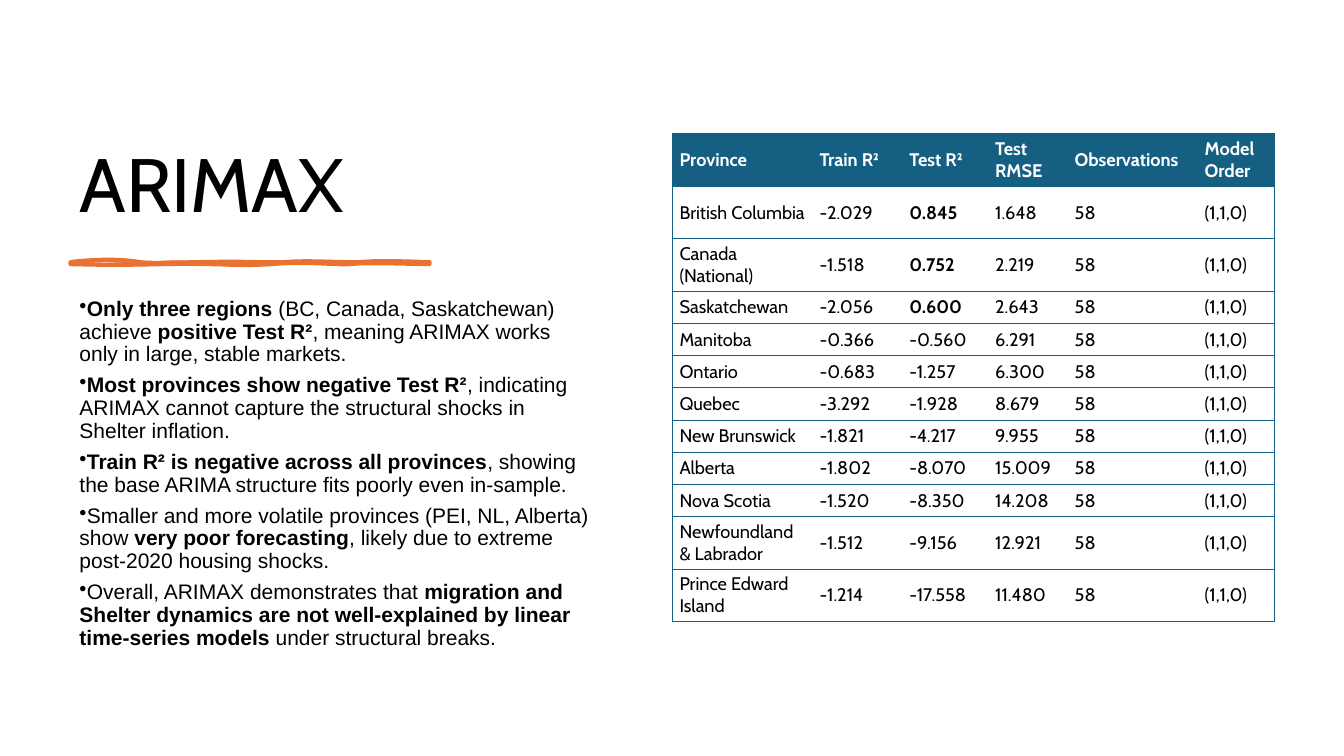
import pptx
import pptx.dml.color
import pptx.enum.text
import pptx.oxml
import pptx.oxml.ns
import pptx.util
from lxml import etree
from pptx.util import Inches

COLORS = {"text": "000000", "white": "FFFFFF", "table": "156082", "accent": "E97132"}
NO_TABLE_STYLE = "{2D5ABB26-0587-4C30-8999-92F81FD0307C}"

# Each bullet is a list of (text, bold) runs.
BULLETS = [
    [("Only three regions", True), (" (BC, Canada, Saskatchewan) achieve ", False),
     ("positive Test R²", True),
     (", meaning ARIMAX works only in large, stable markets.", False)],
    [("Most provinces show negative Test R²", True),
     (", indicating ARIMAX cannot capture the structural shocks in Shelter inflation.", False)],
    [("Train R² is negative across all provinces", True),
     (", showing the base ARIMA structure fits poorly even in-sample.", False)],
    [("Smaller and more volatile provinces (PEI, NL, Alberta) show ", False),
     ("very poor forecasting", True),
     (", likely due to extreme post-2020 housing shocks.", False)],
    [("Overall, ARIMAX demonstrates that ", False),
     ("migration and Shelter dynamics are not well-explained by linear time-series models", True),
     (" under structural breaks.", False)],
]

HEADER = ["Province", "Train R²", "Test R²", "Test RMSE", "Observations", "Model Order"]
RESULTS = [
    ("British Columbia", "-2.029", "0.845", "1.648"),
    ("Canada (National)", "-1.518", "0.752", "2.219"),
    ("Saskatchewan", "-2.056", "0.600", "2.643"),
    ("Manitoba", "-0.366", "-0.560", "6.291"),
    ("Ontario", "-0.683", "-1.257", "6.300"),
    ("Quebec", "-3.292", "-1.928", "8.679"),
    ("New Brunswick", "-1.821", "-4.217", "9.955"),
    ("Alberta", "-1.802", "-8.070", "15.009"),
    ("Nova Scotia", "-1.520", "-8.350", "14.208"),
    ("Newfoundland & Labrador", "-1.512", "-9.156", "12.921"),
    ("Prince Edward Island", "-1.214", "-17.558", "11.480"),
]
COLUMN_WIDTHS = [1.39, 0.89, 0.85, 0.79, 1.29, 0.76]
TALL_ROWS = {0, 1, 2, 10, 11}
TEST_R2_COLUMN = 2

# Start point, then three points for each Bézier curve.
BRUSH_EDGE = [
    (0.7, 2.6), (0.97, 2.57), (1.21, 2.57), (1.38, 2.6), (1.55, 2.62), (1.77, 2.6), (2.09, 2.6),
    (2.41, 2.59), (2.6, 2.61), (2.84, 2.6), (3.08, 2.58), (3.39, 2.61), (3.59, 2.6),
    (3.79, 2.58), (4.12, 2.6), (4.26, 2.6), (4.26, 2.6), (4.26, 2.61), (4.26, 2.62),
    (4.08, 2.62), (3.64, 2.6), (3.48, 2.62), (3.32, 2.63), (3.04, 2.59), (2.7, 2.62),
    (2.35, 2.64), (2.31, 2.62), (1.99, 2.62), (1.66, 2.61), (1.32, 2.64), (0.7, 2.62),
    (0.7, 2.61), (0.7, 2.6), (0.7, 2.6)]
BRUSH_BODY = [
    (0.7, 2.6), (1.02, 2.62), (1.1, 2.6), (1.38, 2.6), (1.66, 2.59), (1.69, 2.57), (1.99, 2.6),
    (2.28, 2.62), (2.61, 2.61), (2.77, 2.6), (2.93, 2.58), (3.27, 2.62), (3.44, 2.6),
    (3.62, 2.57), (3.97, 2.63), (4.26, 2.6), (4.26, 2.6), (4.26, 2.61), (4.26, 2.62),
    (4.12, 2.61), (3.72, 2.64), (3.55, 2.62), (3.32, 2.59), (3.09, 2.62), (2.77, 2.62),
    (2.44, 2.61), (2.4, 2.6), (2.16, 2.62), (1.93, 2.63), (1.79, 2.61), (1.45, 2.62),
    (1.11, 2.62), (0.92, 2.61), (0.7, 2.62), (0.7, 2.61), (0.7, 2.6), (0.7, 2.6)]


def rgb(name):
    return pptx.dml.color.RGBColor.from_string(COLORS[name])


def set_font(p, name, size, color):
    p.font.name = name
    p.font.size = pptx.util.Pt(size)
    p.font.color.rgb = rgb(color)


def add_text_frame(s, left, top, width, height, anchor):
    tf = s.shapes.add_textbox(Inches(left), Inches(top), Inches(width), Inches(height)).text_frame
    tf.word_wrap = True
    tf.vertical_anchor = anchor
    return tf


def add_title(s, text):
    tf = add_text_frame(s, 0.69, 0.7, 5.27, 1.62, pptx.enum.text.MSO_ANCHOR.BOTTOM)
    p = tf.paragraphs[0]
    p.text = text
    p.line_spacing = 0.9
    set_font(p, "Cabin", 54, "text")


def add_bullets(s, bullets):
    tf = add_text_frame(s, 0.69, 2.91, 5.27, 3.88, pptx.enum.text.MSO_ANCHOR.TOP)
    for i, runs in enumerate(bullets):
        p = tf.add_paragraph() if i else tf.paragraphs[0]
        p.line_spacing = 0.9
        p.space_after = pptx.util.Pt(6)
        set_font(p, "Arial", 15, "text")
        pPr = p._p.get_or_add_pPr()
        pPr.set("marL", "0")
        pPr.set("indent", "0")
        bullet = etree.Element(pptx.oxml.ns.qn("a:buChar"), char="•")
        pPr.insert_element_before(bullet, "a:tabLst", "a:defRPr", "a:extLst")
        for text, bold in runs:
            r = p.add_run()
            r.text = text
            r.font.bold = bold


def curve_segments(path):
    """Turn each three straight segments of a path into one Bézier curve."""
    lines = path.findall(pptx.oxml.ns.qn("a:lnTo"))
    for i in range(0, len(lines), 3):
        curve = etree.Element(pptx.oxml.ns.qn("a:cubicBezTo"))
        lines[i].addprevious(curve)
        for line in lines[i:i + 3]:
            curve.append(line[0])
            path.remove(line)


def add_brush_stroke(s):
    """Draw one shape with a stroked edge path and a filled body path."""
    edge, body = ([(Inches(x), Inches(y)) for x, y in points]
                  for points in (BRUSH_EDGE, BRUSH_BODY))
    builder = s.shapes.build_freeform(*edge[0])
    builder.add_line_segments(edge[1:], close=True)
    builder.move_to(*body[0])
    builder.add_line_segments(body[1:], close=True)
    sp = builder.convert_to_shape()
    sp.shadow.inherit = False
    sp.fill.solid()
    sp.fill.fore_color.rgb = rgb("accent")
    sp.line.color.rgb = rgb("accent")
    sp.line.width = pptx.util.Pt(3)

    edge_path = next(sp._element.iter(pptx.oxml.ns.qn("a:path")))
    body_path = etree.SubElement(edge_path.getparent(), pptx.oxml.ns.qn("a:path"),
                                 dict(edge_path.attrib), stroke="0")
    edge_path.set("fill", "none")
    body_start = edge_path.findall(pptx.oxml.ns.qn("a:moveTo"))[1]
    for segment in list(edge_path)[edge_path.index(body_start):]:
        body_path.append(segment)
    for path in (edge_path, body_path):
        curve_segments(path)


def set_borders(cell, sides):
    """Draw 1 pt lines on the given sides, in the order L, R, T, B."""
    tcPr = cell._tc.get_or_add_tcPr()
    for i, side in enumerate(sides):
        ln = etree.Element(pptx.oxml.ns.qn(f"a:ln{side}"), w=str(pptx.util.Pt(1)))
        fill = etree.SubElement(ln, pptx.oxml.ns.qn("a:solidFill"))
        etree.SubElement(fill, pptx.oxml.ns.qn("a:srgbClr"), val=COLORS["table"])
        tcPr.insert(i, ln)


def fill_cell(cell, text, is_header, bold, sides):
    cell.margin_left = cell.margin_right = Inches(0.07)
    cell.margin_top = cell.margin_bottom = Inches(0.04)
    cell.vertical_anchor = pptx.enum.text.MSO_ANCHOR.MIDDLE
    p = cell.text_frame.paragraphs[0]
    p.text = text
    set_font(p, "Cabin", 13, "white" if is_header else "text")
    p.font.bold = bold
    if is_header:
        cell.fill.solid()
        cell.fill.fore_color.rgb = rgb("table")
    else:
        cell.fill.background()
    set_borders(cell, sides)


def add_results_table(s):
    rows = [HEADER] + [result + ("58", "(1,1,0)") for result in RESULTS]
    heights = [0.52 if i in TALL_ROWS else 0.32 for i in range(len(rows))]
    frame = s.shapes.add_table(len(rows), len(HEADER), Inches(6.67), Inches(1.33),
                               Inches(sum(COLUMN_WIDTHS)), Inches(sum(heights)))
    table = frame.table
    table.first_row = table.horz_banding = False
    table._tbl.tblPr.find(pptx.oxml.ns.qn("a:tableStyleId")).text = NO_TABLE_STYLE
    for column, width in zip(table.columns, COLUMN_WIDTHS):
        column.width = Inches(width)
    for i, values in enumerate(rows):
        table.rows[i].height = Inches(heights[i])
        for j, text in enumerate(values):
            is_header = i == 0
            positive = j == TEST_R2_COLUMN and not text.startswith("-")
            sides = {0: "LTB", len(HEADER) - 1: "RTB"}.get(j, "TB")
            fill_cell(table.cell(i, j), text, is_header, is_header or positive, sides)


def main():
    prs = pptx.Presentation()
    prs.slide_width, prs.slide_height = Inches(13.33), Inches(7.5)
    s = prs.slides.add_slide(prs.slide_layouts[6])
    add_title(s, "ARIMAX")
    add_brush_stroke(s)
    add_bullets(s, BULLETS)
    add_results_table(s)
    prs.save("out.pptx")


if __name__ == "__main__":
    main()
